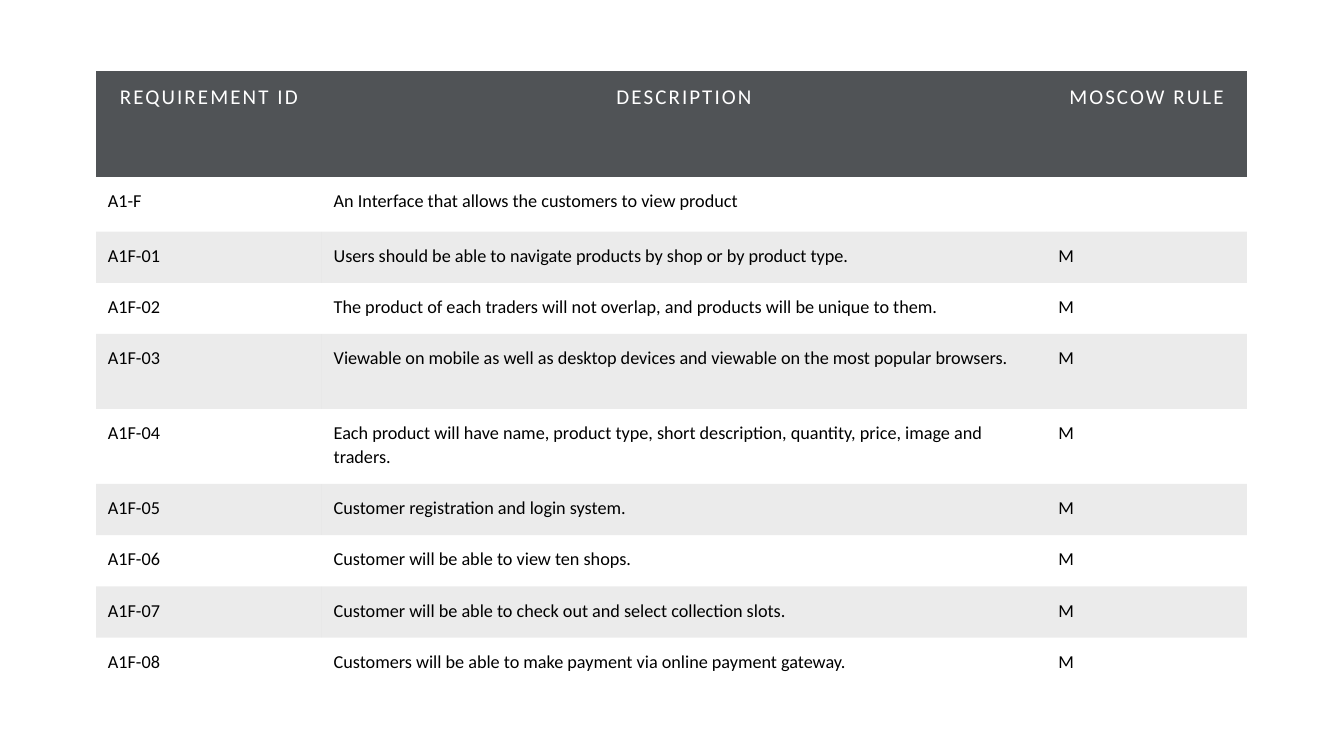
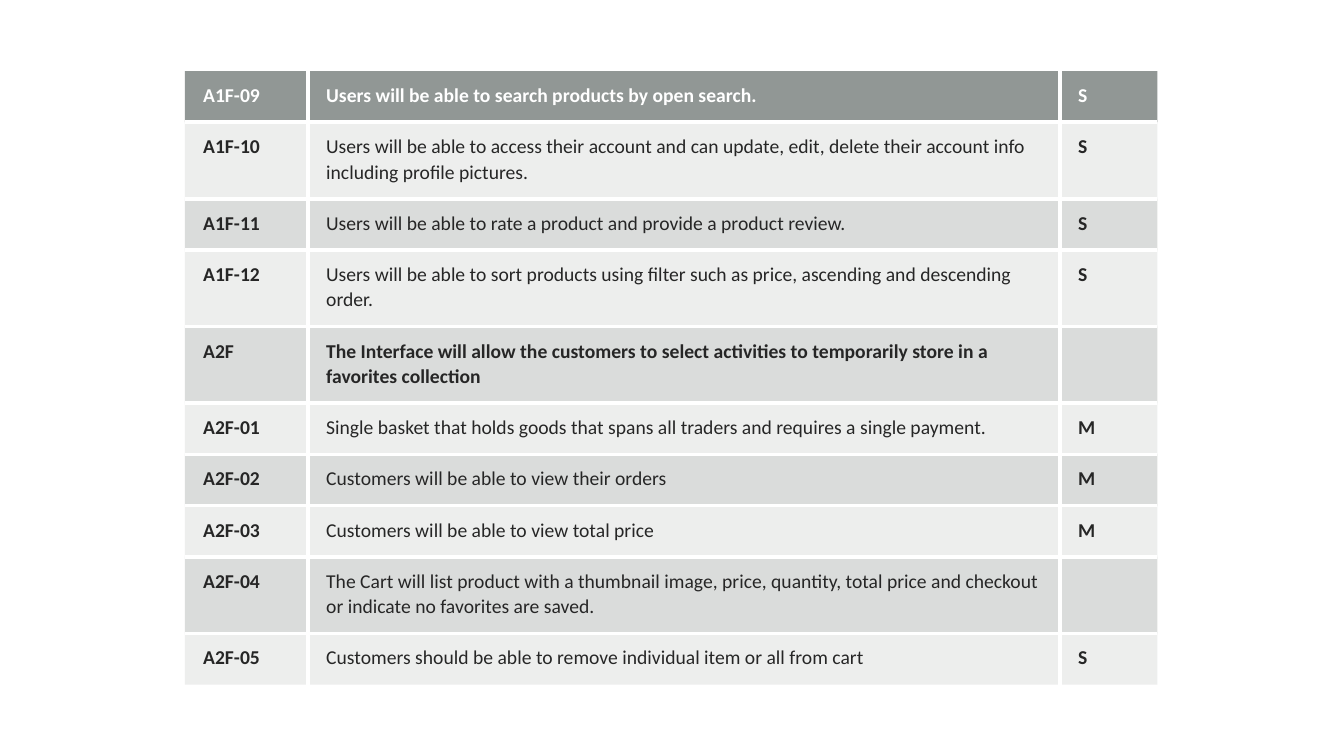
from lxml.etree import SubElement
from pptx import Presentation
from pptx.dml.color import RGBColor
from pptx.enum.text import PP_ALIGN
from pptx.oxml import parse_xml
from pptx.oxml.ns import nsdecls, qn
from pptx.util import Cm, Pt

FONT = "Calibri"
WHITE, BLACK, CHARCOAL = "FFFFFF", "000000", "262626"
NO_TABLE_STYLE = "{2D5ABB26-0587-4C30-8999-92F81FD0307C}"
TABLE_TOP = 1.79
LINE_SPACING = 1.07
ROW_HEIGHT = 1.29

PRODUCT_ROWS = [
    ("REQUIREMENT ID", "DESCRIPTION", "MOSCOW RULE"),
    ("A1-F", "An Interface that allows the customers to view product", ""),
    ("A1F-01", "Users should be able to navigate products by shop or by product type.", "M"),
    ("A1F-02", "The product of each traders will not overlap, and products will be "
               "unique to them.", "M"),
    ("A1F-03", "Viewable on mobile as well as desktop devices and viewable on the most "
               "popular browsers.", "M"),
    ("A1F-04", "Each product will have name, product type, short description, quantity, "
               "price, image and traders.", "M"),
    ("A1F-05", "Customer registration and login system.", "M"),
    ("A1F-06", "Customer will be able to view ten shops.", "M"),
    ("A1F-07", "Customer will be able to check out and select collection slots.", "M"),
    ("A1F-08", "Customers will be able to make payment via online payment gateway.", "M"),
]
ACCOUNT_ROWS = [
    ("A1F-09", "Users will be able to search products by open search.", "S"),
    ("A1F-10", "Users will be able to access their account and can update, edit, delete "
               "their account info including profile pictures.", "S"),
    ("A1F-11", "Users will be able to rate a product and provide a product review.", "S"),
    ("A1F-12", "Users will be able to sort products using filter such as price, ascending "
               "and descending order.", "S"),
    ("A2F", "The Interface will allow the customers to select activities to temporarily "
            "store in a favorites collection", ""),
    ("A2F-01", "Single basket that holds goods that spans all traders and requires a "
               "single payment.", "M"),
    ("A2F-02", "Customers will be able to view their orders", "M"),
    ("A2F-03", "Customers will be able to view total price", "M"),
    ("A2F-04", "The Cart will list product with a thumbnail image, price, quantity, total "
               "price and checkout or indicate no favorites are saved.", ""),
    ("A2F-05", "Customers should be able to remove individual item or all from cart", "S"),
]

# Fills are (colour, opacity in percent); "bands" alternate below the first row.
PRODUCT_TABLE = {
    "rows": PRODUCT_ROWS, "left": 2.42, "columns": (5.69, 18.26, 5.05),
    "heights": {0: 2.67, 4: 1.89, 5: 1.89}, "margins": (0.3, 0.3, 0.3, 0.3),
    "first_fill": ("505356", 100), "bands": (None, (BLACK, 8)),
    "size": 13, "first_size": 15, "colour": BLACK,
    "titled": True, "bold_codes": False, "gap": 0,
}
ACCOUNT_TABLE = {
    "rows": ACCOUNT_ROWS, "left": 4.66, "columns": (3.1, 18.95, 2.46),
    "heights": {row: 1.93 for row in (1, 3, 4, 8)}, "margins": (0.46, 0.28, 0.28, 0.28),
    "first_fill": ("636B68", 70), "bands": (("878E8B", 15), ("878E8B", 30)),
    "size": 14, "first_size": 14, "colour": CHARCOAL,
    "titled": False, "bold_codes": True, "gap": 3,
}


def rgb(colour):
    return RGBColor.from_string(colour)


def fill_cell(cell, fill):
    if fill is None:
        cell.fill.background()
        return
    colour, opacity = fill
    cell.fill.solid()
    cell.fill.fore_color.rgb = rgb(colour)
    if opacity < 100:
        colour_element = cell._tc.tcPr.find(f".//{qn('a:srgbClr')}")
        SubElement(colour_element, qn("a:alpha"), val=str(opacity * 1000))


def add_borders(cell, sides, width):
    """Put white lines on the given sides, ahead of the cell's fill."""
    properties = cell._tc.get_or_add_tcPr()
    for position, side in enumerate(sides):
        properties.insert(position, parse_xml(
            f'<a:ln{side} {nsdecls("a")} w="{Pt(width)}"><a:solidFill>'
            f'<a:srgbClr val="{WHITE}"/></a:solidFill></a:ln{side}>'))


def write_cell(cell, text, size, colour, bold, titled):
    paragraph = cell.text_frame.paragraphs[0]
    paragraph.text = text
    paragraph.line_spacing = LINE_SPACING
    paragraph.alignment = PP_ALIGN.CENTER if titled else PP_ALIGN.LEFT
    for run in paragraph.runs:
        run.font.name = FONT
        run.font.size = Pt(size)
        run.font.bold = bold
        run.font.color.rgb = rgb(colour)
        if titled:
            run._r.get_or_add_rPr().set("spc", "150")


def add_requirements(slide, design):
    rows, columns = design["rows"], design["columns"]
    heights = [design["heights"].get(row, ROW_HEIGHT) for row in range(len(rows))]
    table = slide.shapes.add_table(
        len(rows), len(columns), Cm(design["left"]), Cm(TABLE_TOP),
        Cm(sum(columns)), Cm(sum(heights))).table
    table.first_row = table.horz_banding = False
    table._tbl.tblPr.find(qn("a:tableStyleId")).text = NO_TABLE_STYLE
    for column, width in zip(table.columns, columns):
        column.width = Cm(width)

    for row, texts in enumerate(rows):
        table.rows[row].height = Cm(heights[row])
        first = row == 0
        fill = design["first_fill"] if first else design["bands"][(row - 1) % 2]
        is_group = "-" not in texts[0]
        for column, text in enumerate(texts):
            cell = table.cell(row, column)
            (cell.margin_left, cell.margin_right,
             cell.margin_top, cell.margin_bottom) = map(Cm, design["margins"])
            fill_cell(cell, fill)
            if design["gap"]:
                inner = {"L": column > 0, "R": column < len(columns) - 1,
                         "T": row > 0, "B": row < len(rows) - 1}
                add_borders(cell, [side for side in inner if inner[side]], design["gap"])
            write_cell(
                cell, text,
                design["first_size"] if first else design["size"],
                WHITE if first else design["colour"],
                design["bold_codes"] and (column != 1 or first or is_group),
                first and design["titled"])


def main():
    presentation = Presentation()
    presentation.slide_width, presentation.slide_height = Cm(33.87), Cm(19.05)
    blank_layout = presentation.slide_layouts[6]
    for design in (PRODUCT_TABLE, ACCOUNT_TABLE):
        add_requirements(presentation.slides.add_slide(blank_layout), design)
    presentation.save("out.pptx")


if __name__ == "__main__":
    main()
